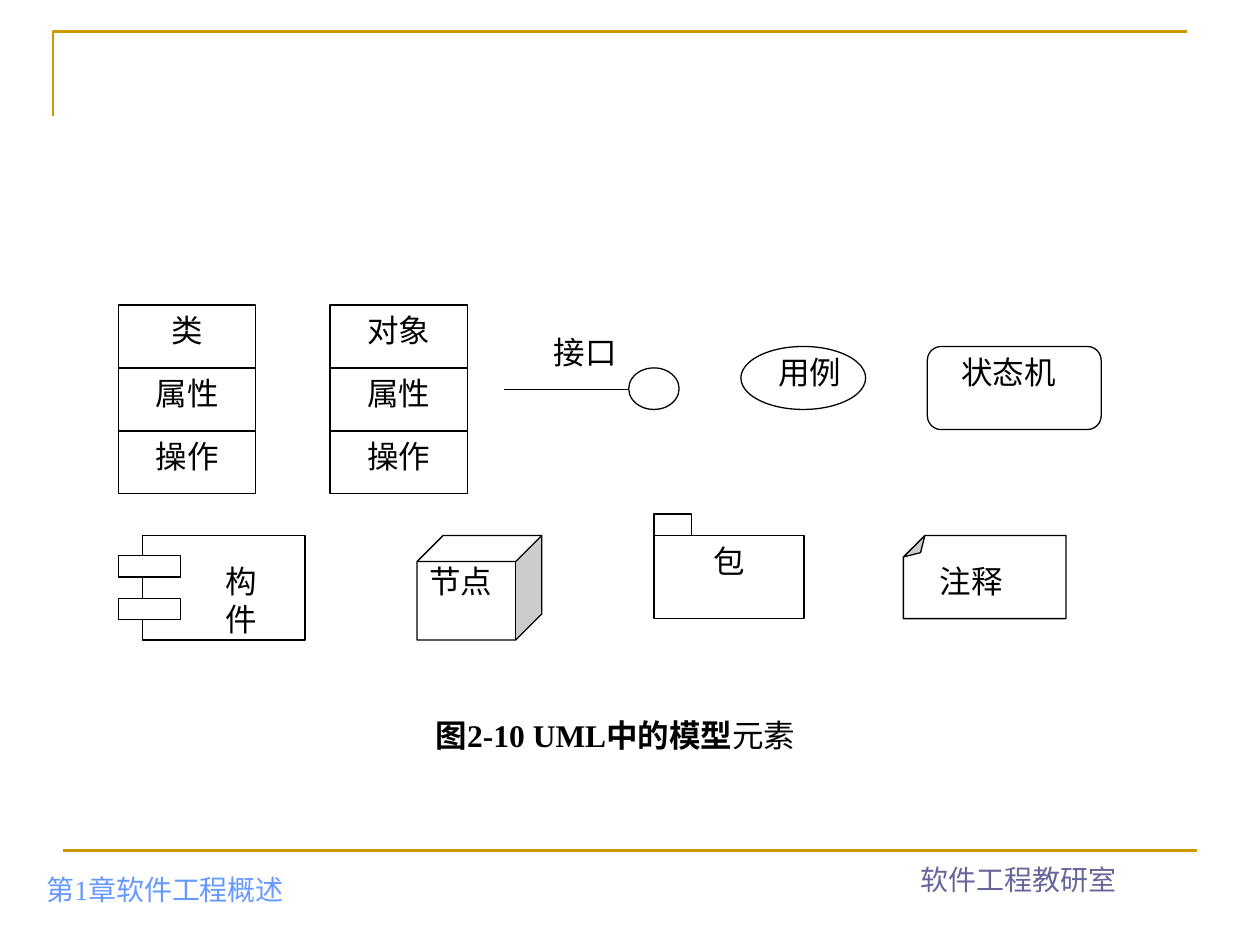
import pptx
import pptx.util
from lxml import etree
from pptx.dml.color import RGBColor
from pptx.enum.shapes import MSO_CONNECTOR, MSO_SHAPE
from pptx.enum.text import MSO_ANCHOR, PP_ALIGN
from pptx.oxml.ns import qn
from pptx.util import Inches

COLORS = {
    "black": "000000",
    "white": "FFFFFF",
    "gold": "CC9900",
    "chapter": "6699FF",
    "office": "666699",
}

prs = pptx.Presentation()
prs.slide_width = Inches(10)
prs.slide_height = Inches(7.5)
slide = prs.slides.add_slide(prs.slide_layouts[6])


def add_symbol(kind, box, outlined=True, filled=True):
    """Add a preset shape, or a text box when kind is None."""
    position = [Inches(value) for value in box]
    if kind is None:
        return slide.shapes.add_textbox(*position)
    symbol = slide.shapes.add_shape(kind, *position)
    symbol.shadow.inherit = False
    if filled:
        symbol.fill.solid()
        symbol.fill.fore_color.rgb = RGBColor.from_string(COLORS["white"])
    else:
        symbol.fill.background()
    if outlined:
        symbol.line.color.rgb = RGBColor.from_string(COLORS["black"])
        symbol.line.width = pptx.util.Pt(0.75)
    else:
        symbol.line.fill.background()
    return symbol


def write(symbol, text, size=18, color="black", align=PP_ALIGN.CENTER,
          anchor=MSO_ANCHOR.TOP):
    frame = symbol.text_frame
    frame.text = text
    frame.word_wrap = True
    frame.vertical_anchor = anchor
    paragraph = frame.paragraphs[0]
    paragraph.alignment = align
    for run in paragraph.runs:
        run.font.size = pptx.util.Pt(size)
        run.font.name = "Times New Roman"
        run.font.color.rgb = RGBColor.from_string(COLORS[color])
    return paragraph


# Frame lines and footer
corner_builder = slide.shapes.build_freeform(Inches(0.42), Inches(0.92))
corner_builder.add_line_segments(
    [(Inches(0.42), Inches(0.25)), (Inches(9.42), Inches(0.25))], close=False)
corner = corner_builder.convert_to_shape()
corner.shadow.inherit = False
corner.fill.background()
corner.line.color.rgb = RGBColor.from_string(COLORS["gold"])
corner.line.width = pptx.util.Pt(1.5)

for start_x, end_x, y, color, width in [
    (0.5, 9.5, 6.75, "gold", 1.5),
    (4.99, 4, 3.09, "black", 0.75),  # interface stem
]:
    rule = slide.shapes.add_connector(
        MSO_CONNECTOR.STRAIGHT, Inches(start_x), Inches(y), Inches(end_x), Inches(y))
    rule.line.color.rgb = RGBColor.from_string(COLORS[color])
    rule.line.width = pptx.util.Pt(width)
    etree.SubElement(rule._element.spPr, qn("a:effectLst"))

write(add_symbol(None, (0.27, 6.74, 3.15, 0.5)), "第1章软件工程概述", 16, "chapter",
      PP_ALIGN.LEFT, MSO_ANCHOR.BOTTOM)
write(add_symbol(None, (6.5, 6.66, 3.17, 0.5)), "软件工程教研室", 16, "office",
      anchor=MSO_ANCHOR.BOTTOM)

# Class and object
for left, heading in [(0.94, "类"), (2.62, "对象")]:
    for row, label in enumerate([heading, "属性", "操作"]):
        compartment = add_symbol(MSO_SHAPE.RECTANGLE, (left, 2.42 + 0.5 * row, 1.09, 0.5))
        write(compartment, label)

# Interface
add_symbol(MSO_SHAPE.OVAL, (4.99, 2.92, 0.4, 0.33))
write(add_symbol(None, (4.1, 2.59, 1.09, 0.5)), "接口")

# Use case
write(add_symbol(MSO_SHAPE.RECTANGLE, (5.88, 2.75, 1.09, 0.5), outlined=False), "用例")
add_symbol(MSO_SHAPE.OVAL, (5.88, 2.75, 0.99, 0.5), filled=False)

# State machine
add_symbol(MSO_SHAPE.ROUNDED_RECTANGLE, (7.36, 2.75, 1.38, 0.66))
write(add_symbol(None, (7.46, 2.75, 1.09, 0.5)), "状态机")

# Component
add_symbol(MSO_SHAPE.RECTANGLE, (1.13, 4.25, 1.29, 0.83), filled=False)
for top in (4.41, 4.75):
    add_symbol(MSO_SHAPE.RECTANGLE, (0.94, top, 0.49, 0.17))
write(add_symbol(MSO_SHAPE.RECTANGLE, (1.57, 4.41, 0.69, 0.5), outlined=False), "构件")

# Node
add_symbol(MSO_SHAPE.CUBE, (3.31, 4.25, 0.99, 0.83))
write(add_symbol(None, (3.21, 4.41, 0.89, 0.5)), "节点")

# Package
write(add_symbol(MSO_SHAPE.RECTANGLE, (5.19, 4.25, 1.19, 0.66)), "包")
add_symbol(MSO_SHAPE.RECTANGLE, (5.19, 4.08, 0.3, 0.17))

# Note: python-pptx lists no adjustment for a folded corner, so the fold is set in XML
note = add_symbol(MSO_SHAPE.FOLDED_CORNER, (7.17, 4.25, 1.29, 0.66))
note.rotation = 180
fold = note._element.spPr.find(qn("a:prstGeom")).find(qn("a:avLst"))
etree.SubElement(fold, qn("a:gd"), name="adj", fmla="val 25800")
write(add_symbol(None, (7.36, 4.41, 0.89, 0.5)), "注释", align=PP_ALIGN.JUSTIFY)

# Caption
caption = add_symbol(MSO_SHAPE.RECTANGLE, (3.36, 5.63, 3.75, 0.5), outlined=False)
caption_line = write(caption, "图2-10 UML中的模型", align=PP_ALIGN.JUSTIFY)
caption_line.runs[0].font.bold = True
caption_end = caption_line.add_run()
caption_end.text = "元素"
caption_end.font.size = pptx.util.Pt(18)
caption_end.font.name = "Times New Roman"
caption_end.font.color.rgb = RGBColor.from_string(COLORS["black"])

prs.save("out.pptx")
